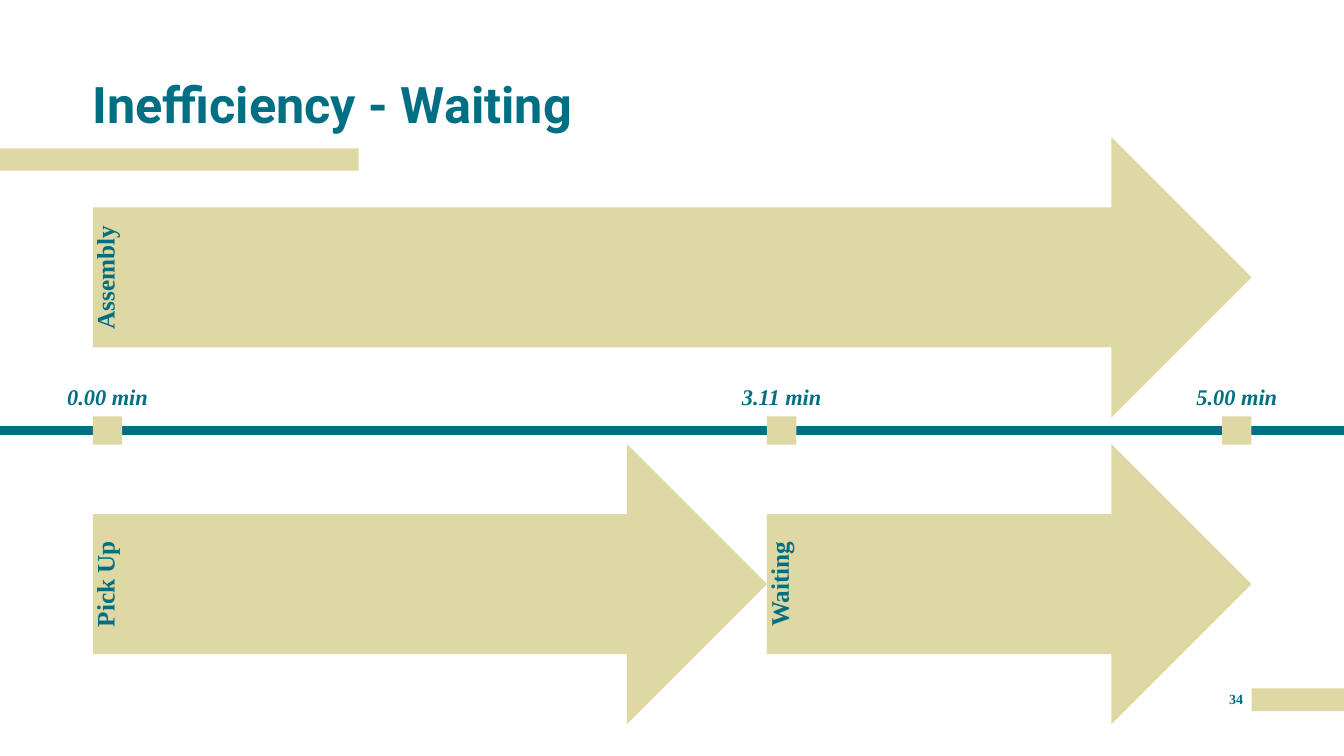
from pptx import Presentation
from pptx.dml.color import RGBColor
from pptx.enum import shapes, text
from pptx.util import Cm, Pt
from lxml import etree

TEAL, SAND = "006F83", "DED8A4"
WIDE, HIGH = 33.87, 19.05
LEFT, MID, RIGHT = 2.34, 19.33, 31.54

prs = Presentation()
prs.slide_width, prs.slide_height = Cm(WIDE), Cm(HIGH)
slide = prs.slides.add_slide(prs.slide_layouts[6])


def paint(part, color):
    part.solid()
    part.fore_color.rgb = RGBColor.from_string(color)


def write(words, x, y, w, h, size, font="Times New Roman", italic=False,
          align="CENTER", anchor="TOP", turn=0, line=0.9):
    box = slide.shapes.add_textbox(Cm(x), Cm(y), Cm(w), Cm(h))
    box.rotation = turn
    frame = box.text_frame
    frame.word_wrap = True
    frame.margin_left = frame.margin_right = 0
    frame.margin_top = frame.margin_bottom = 0
    frame.vertical_anchor = text.MSO_ANCHOR[anchor]
    para = frame.paragraphs[0]
    para.alignment = text.PP_ALIGN[align]
    para.line_spacing = line
    run = para.add_run()
    run.text = words
    run.font.name, run.font.size = font, Pt(size)
    run.font.bold, run.font.italic = True, italic
    paint(run.font.fill, TEAL)


# Accent bars, arrows and time marks, from back to front
mark_w, mark_h, axis_y = 0.74, 0.71, 10.85
arrow_h, top_y, low_y = 7.06, 3.46, 11.19
stages = [("Assembly", LEFT, RIGHT, top_y),
          ("Pick Up", LEFT, MID, low_y),
          ("Waiting", MID, RIGHT, low_y)]
times = [("0.00 min", LEFT), ("3.11 min", MID), ("5.00 min", RIGHT - mark_w)]

# Time axis
axis = slide.shapes.add_connector(shapes.MSO_CONNECTOR.STRAIGHT,
                                  Cm(0), Cm(axis_y), Cm(WIDE), Cm(axis_y))
axis.line.width = Pt(6)
paint(axis.line.fill, TEAL)
etree.SubElement(axis._element.spPr,
                 "{http://schemas.openxmlformats.org/drawingml/2006/main}effectLst")

blocks = [("RECTANGLE", RIGHT, 17.35, WIDE - RIGHT, 0.57),
          ("RECTANGLE", 0, 3.74, 9.04, 0.56)]
blocks += [("RIGHT_ARROW", x, y, end - x, arrow_h) for _, x, end, y in stages]
blocks += [("RECTANGLE", x, axis_y - mark_h / 2, mark_w, mark_h) for _, x in times]
for kind, x, y, w, h in blocks:
    block = slide.shapes.add_shape(shapes.MSO_SHAPE[kind], Cm(x), Cm(y), Cm(w), Cm(h))
    block.shadow.inherit = False
    block.line.fill.background()
    paint(block.fill, SAND)

# Title and page number
write("Inefficiency - Waiting", LEFT, 1.73, 21.67, 1.65, 36, font="Roboto",
      align="LEFT", anchor="BOTTOM")
write("34", 30.78, 17.4, 0.74, 0.64, 10, line=1)

# Stage names, turned to read upwards at the tail of each arrow
name_w, name_h = 3.56, 1.35
for name, x, end, y in stages:
    write(name, x + (name_h - name_w) / 2, y + (arrow_h - name_h) / 2,
          name_w, name_h, 18, turn=270)

# Times, centred over their marks
time_w = 2.6
for time, x in times:
    write(time, x + (mark_w - time_w) / 2, 9.73, time_w, 0.79, 16, italic=True)

prs.save("out.pptx")
